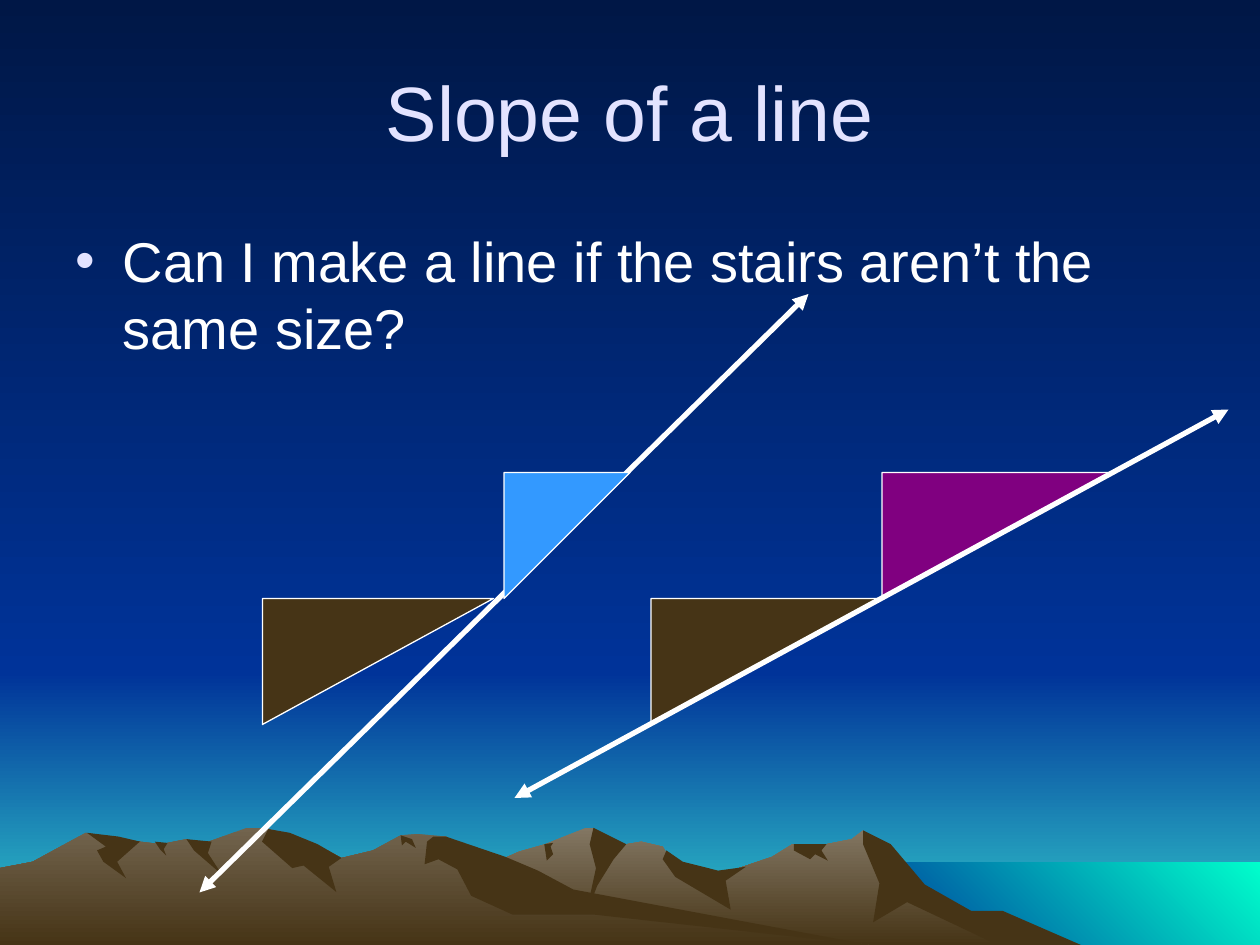
from dataclasses import dataclass
from lxml.etree import SubElement
from pptx import Presentation
from pptx.dml.color import RGBColor
from pptx.enum.shapes import MSO_CONNECTOR as Connector, MSO_SHAPE as Shape
from pptx.enum.text import MSO_ANCHOR as Anchor, PP_ALIGN as Align
from pptx.oxml.ns import qn
from pptx.util import Inches, Pt

COLS, ROWS = 120, 90
STEP_RISE, SHORT_RUN, LONG_RUN = 12, 12, 22
RANGE_WIDTH = 1000
FONT = "Arial"
NIGHT, BLUE, HORIZON, SEA = "001746", "003399", "33CCCC", "00FFCC"
EARTH, ROCK, FAR_ROCK = "463416", "72644E", "837763"
WHITE, LAVENDER, STEP_BLUE, PURPLE = "FFFFFF", "E3E3FF", "3399FF", "800080"
DOWN, DOWN_LEFT = 270, 225


@dataclass
class MountainRange:
    tone: str
    foot: tuple
    crest: list
    shadows: dict

    def outline(self):
        start, end = self.foot
        return [(start, 0), *self.crest, (end, 0)]


FAR_RANGE = MountainRange(
    FAR_ROCK, (258, 821),
    [(327, 42), (355, 53), (394, 66), (412, 74), (433, 80), (465, 93), (471, 93),
     (486, 78), (509, 82), (526, 78), (536, 61), (566, 54), (613, 70), (629, 80),
     (656, 80), (676, 84), (685, 91), (702, 80), (723, 53), (764, 28), (778, 24)],
    {"east slope": [(685, 91), (685, 80), (698, 49), (693, 18), (720, 34), (792, 0),
                    (858, 0), (796, 27), (771, 27), (734, 48), (707, 80)],
     "high peak": [(471, 93), (468, 80), (473, 61), (465, 24), (474, 47), (487, 68),
                   (497, 80)],
     "saddle": [(529, 75), (526, 68), (536, 54), (580, 28), (576, 51), (592, 62),
                (570, 59), (542, 66)],
     "east notch": [(630, 80), (630, 75), (643, 68), (647, 72), (657, 67), (652, 75),
                    (656, 80)],
     "gully": [(432, 80), (434, 67), (439, 72), (437, 78), (439, 81)]})

NEAR_RANGE = MountainRange(
    ROCK, (0, 690),
    [(0, 61), (26, 66), (68, 89), (111, 82), (128, 80), (148, 84), (160, 80),
     (196, 93), (212, 93), (223, 88), (236, 70), (260, 75), (271, 69), (296, 75),
     (318, 87), (331, 88), (354, 86), (432, 39), (667, 3)],
    {"middle peak": [(213, 92), (208, 82), (232, 61), (241, 63), (267, 42), (261, 62),
                     (271, 69), (252, 80), (230, 89)],
     "long slope": [(354, 86), (344, 86), (339, 82), (337, 64), (348, 68), (363, 60),
                    (374, 39), (407, 24), (472, 24), (690, 0), (455, 44), (427, 59),
                    (401, 70)],
     "crag": [(318, 87), (327, 84), (330, 77), (322, 82), (319, 79)],
     "hollow": [(148, 84), (168, 82), (165, 73), (176, 56), (154, 75)],
     "west notch": [(123, 82), (133, 81), (130, 76), (132, 71), (127, 76)],
     "west peak": [(69, 89), (94, 86), (111, 82), (93, 66), (100, 53), (82, 66),
                   (77, 75), (84, 78)]})


def color(hex_string):
    return RGBColor.from_string(hex_string)


def grid(unit, *cells):
    return [round(unit * cell) for cell in cells]


def fade(fill, start, end, angle=DOWN):
    fill.gradient()
    fill.gradient_angle = angle
    for stop, tone in zip(fill.gradient_stops, (start, end)):
        stop.color.rgb = color(tone)


def paint(shape, tones, angle=DOWN):
    shape.shadow.inherit = False
    shape.line.fill.background()
    if len(tones) == 2:
        fade(shape.fill, *tones, angle)
    else:
        shape.fill.solid()
        shape.fill.fore_color.rgb = color(tones[0])


def add_band(slide, box, tones, angle=DOWN):
    paint(slide.shapes.add_shape(Shape.RECTANGLE, *box), tones, angle)


def add_slopes(slide, box, points, *tones):
    left, top, width, height = box
    scale = width / RANGE_WIDTH
    base = round(height / scale)
    first, *rest = [(across, base - rise) for across, rise in points]
    outline = slide.shapes.build_freeform(*first, scale=scale)
    outline.add_line_segments(rest, close=True)
    paint(outline.convert_to_shape(left, top), tones)


def add_mountains(slide, box, mountains):
    add_slopes(slide, box, mountains.outline(), mountains.tone, EARTH)
    for shadow in mountains.shadows.values():
        add_slopes(slide, box, shadow, EARTH)


def add_landscape(slide, box, unit):
    left, top, width, height = box
    horizon, shore, waterline = grid(unit, 64, 82, 82.1)
    add_band(slide, (left, top + horizon, width, height - horizon), (BLUE, HORIZON))
    add_band(slide, (left, top, width, horizon), (NIGHT, BLUE))
    add_band(slide, (left + shore, top + waterline, width - shore, height - waterline),
             (SEA, BLUE), DOWN_LEFT)
    for mountains in (FAR_RANGE, NEAR_RANGE):
        add_mountains(slide, box, mountains)


def add_text(slide, box, wording, size, tone):
    frame = slide.shapes.add_textbox(*box).text_frame
    frame.word_wrap = True
    frame.text = wording
    paragraph = frame.paragraphs[0]
    font = paragraph.runs[0].font
    font.name, font.size, font.color.rgb = FONT, Pt(size), color(tone)
    return frame, paragraph


def add_title(slide, box, wording):
    frame, paragraph = add_text(slide, box, wording, 44, LAVENDER)
    frame.vertical_anchor = Anchor.MIDDLE
    paragraph.alignment = Align.CENTER


def add_question(slide, box, wording):
    _, paragraph = add_text(slide, box, wording, 32, WHITE)
    paragraph.space_before = Pt(8)
    properties = paragraph._p.get_or_add_pPr()
    indent = Pt(27)
    properties.set("marL", str(indent))
    properties.set("indent", str(-indent))
    bullet_color = SubElement(properties, qn("a:buClr"))
    SubElement(bullet_color, qn("a:srgbClr"), val=LAVENDER)
    SubElement(properties, qn("a:buFont"), typeface=FONT)
    SubElement(properties, qn("a:buChar"), char="•")


def add_stair(slide, box, tone):
    left, top, run, rise = box
    shift = (run - rise) // 2
    stair = slide.shapes.add_shape(
        Shape.RIGHT_TRIANGLE, left + shift, top - shift, rise, run)
    stair.rotation = 90
    paint(stair, (tone,))
    stair.line.color.rgb = color(WHITE)
    stair.line.width = Pt(0.75)


def add_staircase(slide, unit, steps):
    for column, row, run, tone in steps:
        add_stair(slide, grid(unit, column, row, run, STEP_RISE), tone)


def add_slope_line(slide, ends):
    slope = slide.shapes.add_connector(Connector.STRAIGHT, *ends)
    slope.line.color.rgb = color(WHITE)
    slope.line.width = Pt(3)
    for tip in ("a:headEnd", "a:tailEnd"):
        SubElement(slope.line._get_or_add_ln(), qn(tip), type="triangle")
    SubElement(slope._element.spPr, qn("a:effectLst"))


def main():
    deck = Presentation()
    deck.slide_width, deck.slide_height = Inches(10), Inches(7.5)
    unit = deck.slide_width / COLS
    slide = deck.slides.add_slide(deck.slide_layouts[6])
    fade(slide.background.fill, NIGHT, BLUE)
    add_landscape(slide, grid(unit, 0, 0, COLS, ROWS), unit)
    add_title(slide, grid(unit, 6, 3, 108, 15), "Slope of a line")
    add_question(slide, grid(unit, 6, 21, 108, 59),
                 "Can I make a line if the stairs aren’t the same size?")
    upper, lower = 45, 45 + STEP_RISE
    add_slope_line(slide, grid(unit, 19, 85, 77, 28))
    add_staircase(slide, unit, [(48, upper, SHORT_RUN, STEP_BLUE),
                                (25, lower, LONG_RUN, EARTH)])
    add_staircase(slide, unit, [(62 + LONG_RUN, upper, LONG_RUN, PURPLE),
                                (62, lower, LONG_RUN, EARTH)])
    add_slope_line(slide, grid(unit, 49, 76, 117, 39))
    deck.save("out.pptx")


if __name__ == "__main__":
    main()
